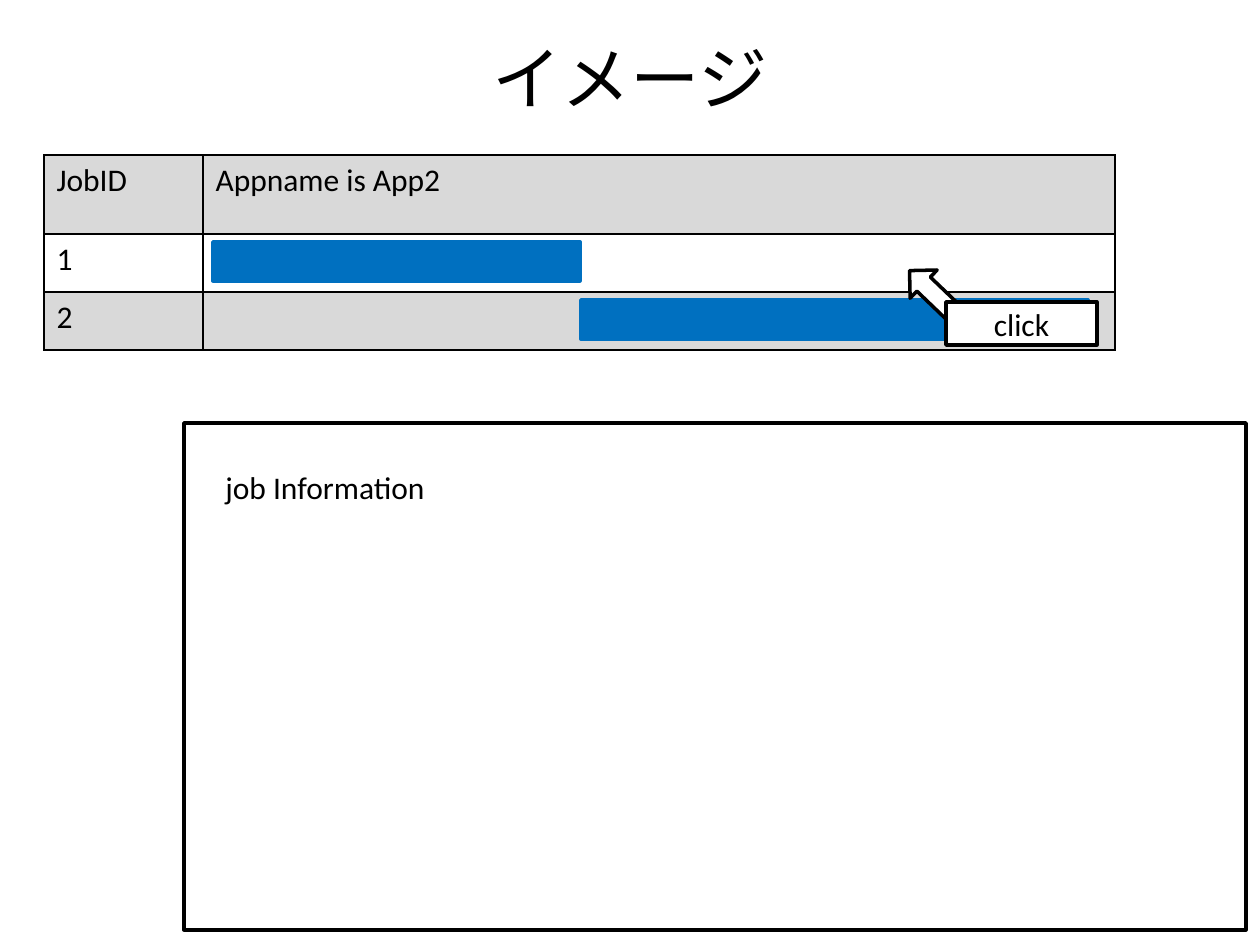
from lxml.etree import SubElement
from pptx import Presentation
from pptx.dml.color import RGBColor
from pptx.enum.shapes import MSO_SHAPE
from pptx.enum.text import MSO_ANCHOR, MSO_AUTO_SIZE, PP_ALIGN
from pptx.oxml.ns import qn
from pptx.util import Emu, Pt

HEX = {"ink": "000000", "paper": "FFFFFF", "band": "D9D9D9", "bar": "0070C0"}
FONT = {"name": "Calibri", "size": Pt(18), "bold": False}


def px(n):
    return Emu(round(n * 914400 / 126))


def tint(key):
    return RGBColor.from_string(HEX[key])


def put(frame, text, align=PP_ALIGN.LEFT, **over):
    """Fill a text frame with one formatted paragraph."""
    frame.text = text
    para = frame.paragraphs[0]
    para.alignment = align
    for key, val in {**FONT, **over}.items():
        setattr(para.font, key, val)
    para.font.color.rgb = tint("ink")


def block(slide, kind, box, fill="paper", line="ink"):
    """Add a flat shape with a two point outline."""
    shape = slide.shapes.add_shape(kind, *map(px, box))
    shape.shadow.inherit = False
    shape.fill.solid()
    shape.fill.fore_color.rgb = tint(fill)
    shape.line.color.rgb = tint(line)
    shape.line.width = Pt(2)
    return shape


def edge(cell):
    """Draw all four borders, which come before the fill."""
    props = cell._tc.get_or_add_tcPr()
    for i, side in enumerate("LRTB"):
        line = SubElement(props, qn(f"a:ln{side}"), w=str(Pt(1)))
        fill = SubElement(line, qn("a:solidFill"))
        SubElement(fill, qn("a:srgbClr"), val=HEX["ink"])
        props.insert(i, line)


def title(slide, box):
    head = slide.shapes.title
    for key, val in zip(("left", "top", "width", "height"), box):
        setattr(head, key, px(val))
    frame = head.text_frame
    frame.auto_size = MSO_AUTO_SIZE.NONE
    frame.vertical_anchor = MSO_ANCHOR.MIDDLE
    put(frame, "イメージ", PP_ALIGN.CENTER, size=Pt(39.6))


def jobs(slide, x, y):
    """Job table with one time bar in each job row."""
    rows = [("JobID", "Appname is App2"), ("1", ""), ("2", "")]
    wide, high = (159, 912), (79, 58, 58)
    table = slide.shapes.add_table(
        len(high), len(wide), px(x), px(y), px(sum(wide)), px(sum(high))).table
    table.first_row = table.horz_banding = False
    for col, w in zip(table.columns, wide):
        col.width = px(w)
    for r, (row, h) in enumerate(zip(rows, high)):
        table.rows[r].height = px(h)
        for c, text in enumerate(row):
            cell = table.cell(r, c)
            put(cell.text_frame, text)
            cell.fill.solid()
            cell.fill.fore_color.rgb = tint("paper" if r % 2 else "band")
            edge(cell)
    # Time bars
    for r, (left, w) in enumerate([(169, 367), (537, 507)], 1):
        top = y + sum(high[:r]) + 8
        block(slide, MSO_SHAPE.RECTANGLE, (x + left, top, w, 39), "bar", "bar")


def click(slide, x, y):
    """Pointer arrow with its label."""
    arrow = block(slide, MSO_SHAPE.UP_ARROW, (x, y, 39, 69))
    arrow.rotation = 313.8
    label = block(slide, MSO_SHAPE.RECTANGLE, (x + 31, y + 42, 151, 43))
    label.text_frame.vertical_anchor = MSO_ANCHOR.MIDDLE
    put(label.text_frame, "click", PP_ALIGN.CENTER)


def panel(slide, x, y, w, h):
    """Framed job details."""
    block(slide, MSO_SHAPE.RECTANGLE, (x, y, w, h))
    note = slide.shapes.add_textbox(*map(px, (x + 29, y + 39, 227, 50)))
    note.text_frame.word_wrap = True
    put(note.text_frame, "job Information")


def main():
    deck = Presentation()
    deck.slide_width, deck.slide_height = px(1260), px(945)
    slide = deck.slides.add_slide(deck.slide_layouts[5])
    title(slide, (63, 38, 1134, 77))
    jobs(slide, 44, 155)
    click(slide, 915, 260)
    panel(slide, 184, 423, 1062, 507)
    deck.save("out.pptx")


if __name__ == "__main__":
    main()
